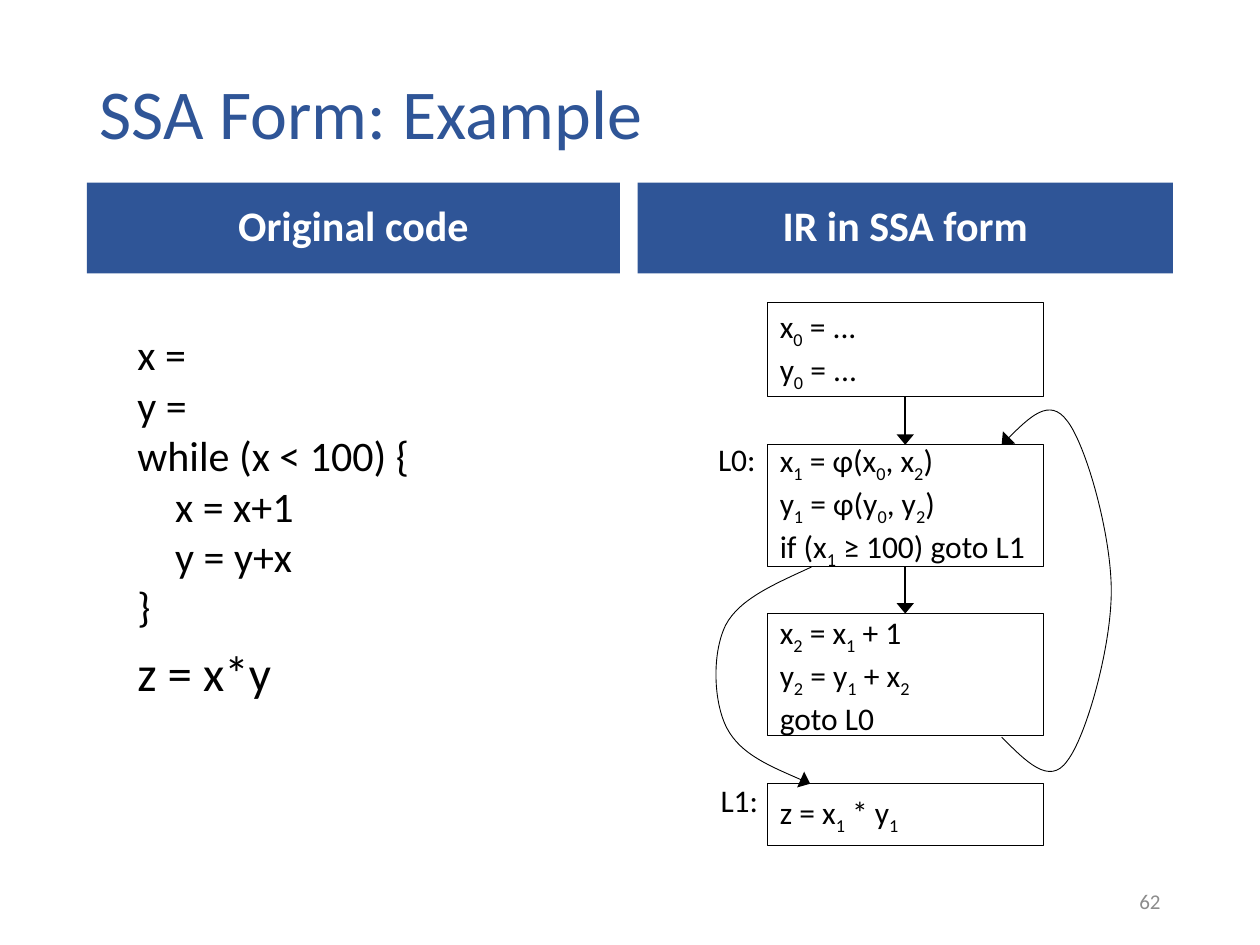
from dataclasses import dataclass

from lxml import etree
from pptx import Presentation
from pptx.dml.color import RGBColor
from pptx.enum.shapes import MSO_CONNECTOR, MSO_SHAPE
from pptx.enum.text import MSO_ANCHOR, MSO_AUTO_SIZE, PP_ALIGN
from pptx.oxml.ns import qn
from pptx.util import Inches, Pt

LEFT, CENTER, RIGHT = PP_ALIGN.LEFT, PP_ALIGN.CENTER, PP_ALIGN.RIGHT
TOP, MIDDLE = MSO_ANCHOR.TOP, MSO_ANCHOR.MIDDLE
NO_FIT, GROW = MSO_AUTO_SIZE.NONE, MSO_AUTO_SIZE.SHAPE_TO_FIT_TEXT
RECT, STRAIGHT = MSO_SHAPE.RECTANGLE, MSO_CONNECTOR.STRAIGHT
COMPARISON_LAYOUT = 4


@dataclass(frozen=True)
class Theme:
    font: str = "Calibri"
    accent: RGBColor = RGBColor(0x2F, 0x55, 0x97)
    ink: RGBColor = RGBColor(0, 0, 0)
    paper: RGBColor = RGBColor(0xFF, 0xFF, 0xFF)
    muted: RGBColor = RGBColor(0x8C, 0x8C, 0x8C)
    title: int = 40
    large: int = 28
    body: int = 24
    small: int = 18
    number: int = 12


def apply(target, formats):
    for name, value in formats.items():
        setattr(target, name, value)


class SlideBuilder:
    def __init__(self, slide, theme):
        self.s = slide
        self.theme = theme

    def paragraph(self, p, text, size, color, bold=False, **formats):
        """Write text; the digit after each underscore becomes a subscript."""
        apply(p, formats)
        first, *rest = text.split("_")
        pieces = [(first, False)]
        for part in rest:
            pieces += [(part[0], True), (part[1:], False)]
        for piece, subscript in pieces:
            if not piece:
                continue
            r = p.add_run()
            r.text = piece
            apply(r.font, {"name": self.theme.font, "size": Pt(size), "bold": bold})
            r.font.color.rgb = color
            if subscript:
                r.font._element.set("baseline", "-25000")

    def lines(self, tf, lines, size, color, **formats):
        for i, line in enumerate(lines):
            p = tf.paragraphs[0] if i == 0 else tf.add_paragraph()
            self.paragraph(p, line, size, color, **formats)

    def placeholder(self, idx, box, anchor=MIDDLE):
        sp = self.s.placeholders[idx]
        apply(sp, dict(zip(("left", "top", "width", "height"), map(Inches, box))))
        apply(sp.text_frame, {"word_wrap": True, "auto_size": NO_FIT, "vertical_anchor": anchor})
        return sp

    def title(self, text, box):
        sp = self.placeholder(0, box)
        self.paragraph(sp.text_frame.paragraphs[0], text, self.theme.title,
                       self.theme.accent, alignment=LEFT, line_spacing=0.9)

    def header(self, idx, text, box):
        sp = self.placeholder(idx, box)
        sp.fill.solid()
        sp.fill.fore_color.rgb = self.theme.accent
        self.paragraph(sp.text_frame.paragraphs[0], text, self.theme.body, self.theme.paper,
                       bold=True, alignment=CENTER, line_spacing=0.9,
                       space_before=Pt(10), space_after=Pt(5))
        self.plain_list(sp.text_frame)

    def plain_list(self, tf, indents=None):
        """Drop the bullets and set each paragraph's left margin in inches."""
        for i, p in enumerate(tf.paragraphs):
            pPr = p._p.get_or_add_pPr()
            pPr.set("marL", str(Inches(indents[i] if indents else 0)))
            pPr.set("indent", "0")
            etree.SubElement(pPr, qn("a:buNone"))

    def code(self, idx, rows, result, box):
        """Rows are (indent, text); the result line follows in larger type."""
        tf = self.placeholder(idx, box, TOP).text_frame
        apply(tf, {"margin_left": Inches(0.4), "margin_top": Inches(0.3)})
        self.lines(tf, [text for _, text in rows], self.theme.body, self.theme.ink,
                   line_spacing=1.0, space_before=Pt(0), space_after=Pt(0))
        self.paragraph(tf.add_paragraph(), result, self.theme.large, self.theme.ink,
                       line_spacing=0.9, space_before=Pt(10), space_after=Pt(5))
        self.plain_list(tf, [indent for indent, _ in rows] + [0])

    def text(self, text, box, size, color, align=LEFT, wrap=False, fit=GROW, anchor=TOP):
        tf = self.s.shapes.add_textbox(*map(Inches, box)).text_frame
        apply(tf, {"word_wrap": wrap, "auto_size": fit, "vertical_anchor": anchor})
        self.paragraph(tf.paragraphs[0], text, size, color, alignment=align)

    def outline(self, sp, width):
        sp.line.color.rgb = self.theme.ink
        sp.line.width = Pt(width)

    def arrowhead(self, sp):
        etree.SubElement(sp.line._get_or_add_ln(), qn("a:tailEnd"), type="triangle", w="lg")

    def block(self, lines, box):
        sp = self.s.shapes.add_shape(RECT, *map(Inches, box))
        sp.shadow.inherit = False
        sp.fill.background()
        self.outline(sp, 0.5)
        apply(sp.text_frame, {"word_wrap": True, "vertical_anchor": MIDDLE})
        self.lines(sp.text_frame, lines, self.theme.small, self.theme.ink, alignment=LEFT)

    def arrow(self, x, top, bottom):
        sp = self.s.shapes.add_connector(STRAIGHT, *map(Inches, (x, top, x, bottom)))
        self.outline(sp, 1)
        self.arrowhead(sp)
        etree.SubElement(sp._element.spPr, qn("a:effectLst"))

    def curve(self, *points):
        """Draw a Bezier arrow: a start, then threes of two controls and an end."""
        start, *rest = [(Inches(x), Inches(y)) for x, y in points]
        fb = self.s.shapes.build_freeform(*start)
        fb.add_line_segments(rest, close=False)
        sp = fb.convert_to_shape()
        segments = list(sp._element.iter(qn("a:lnTo")))
        for i in range(0, len(segments), 3):
            bezier = etree.Element(qn("a:cubicBezTo"))
            segments[i].addprevious(bezier)
            for segment in segments[i:i + 3]:
                bezier.append(segment[0])
                segment.getparent().remove(segment)
        sp.shadow.inherit = False
        sp.fill.background()
        self.outline(sp, 0.5)
        self.arrowhead(sp)


def main():
    prs = Presentation()
    prs.slide_width, prs.slide_height = Inches(10), Inches(7.5)
    s = prs.slides.add_slide(prs.slide_layouts[COMPARISON_LAYOUT])
    theme = Theme()
    b = SlideBuilder(s, theme)

    b.title("SSA Form: Example", (0.69, 0.4, 8.62, 1.05))
    b.header(1, "Original code", (0.69, 1.45, 4.23, 0.72))
    b.code(2, [(0, "x ="), (0, "y ="), (0, "while (x < 100) {"),
               (0.3, "x = x+1"), (0.3, "y = y+x"), (0, "}")],
           "z = x*y", (0.69, 2.31, 4.23, 4.27))
    b.header(3, "IR in SSA form", (5.06, 1.45, 4.25, 0.72))
    unused = s.placeholders[4]._element
    unused.getparent().remove(unused)
    b.text("62", (7.06, 6.95, 2.25, 0.4), theme.number, theme.muted,
           align=RIGHT, wrap=True, fit=NO_FIT, anchor=MIDDLE)

    block_left, block_width = 6.09, 2.19
    blocks = [
        (2.4, 0.75, ["x_0 = ...", "y_0 = ..."]),
        (3.53, 0.97, ["x_1 = φ(x_0, x_2)", "y_1 = φ(y_0, y_2)", "if (x_1 ≥ 100) goto L1"]),
        (4.87, 0.97, ["x_2 = x_1 + 1", "y_2 = y_1 + x_2", "goto L0"]),
        (6.22, 0.49, ["z = x_1 * y_1"]),
    ]
    for top, height, lines in blocks:
        b.block(lines, (block_left, top, block_width, height))
    for (top, height, _), (next_top, _, _) in zip(blocks[:2], blocks[1:3]):
        b.arrow(block_left + block_width / 2, top + height, next_top)

    b.curve((6.44, 4.5),
            (6.16, 4.63), (5.87, 4.75), (5.76, 4.96),
            (5.65, 5.18), (5.66, 5.57), (5.77, 5.78),
            (5.88, 5.99), (6.16, 6.1), (6.43, 6.22))
    b.curve((7.95, 5.85),
            (8.14, 6.04), (8.33, 6.24), (8.47, 6.04),
            (8.62, 5.85), (8.82, 5.14), (8.82, 4.69),
            (8.82, 4.24), (8.62, 3.53), (8.47, 3.34),
            (8.33, 3.15), (8.14, 3.34), (7.95, 3.53))
    for label, left, top in [("L0:", 5.6, 3.44), ("L1:", 5.62, 6.15)]:
        b.text(label, (left, top, 0.51, 0.4), theme.small, theme.ink)

    prs.save("out.pptx")


if __name__ == "__main__":
    main()
